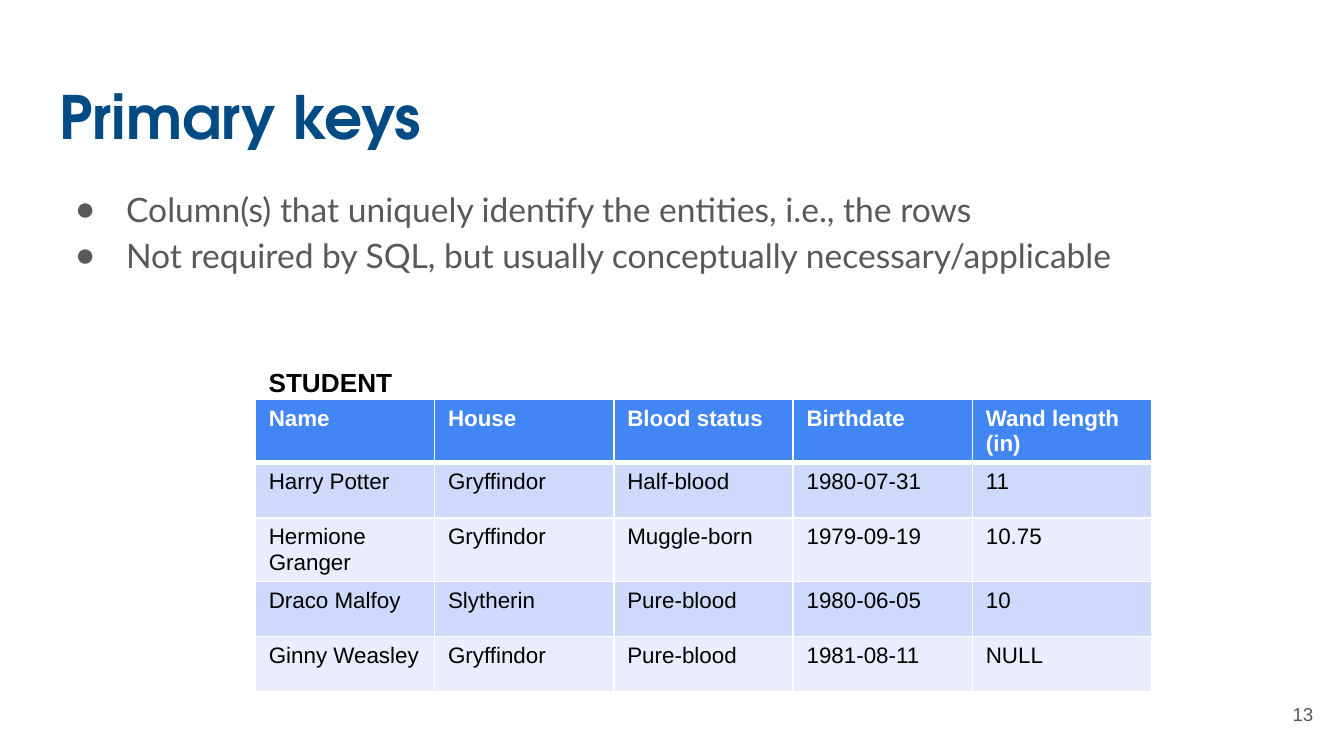
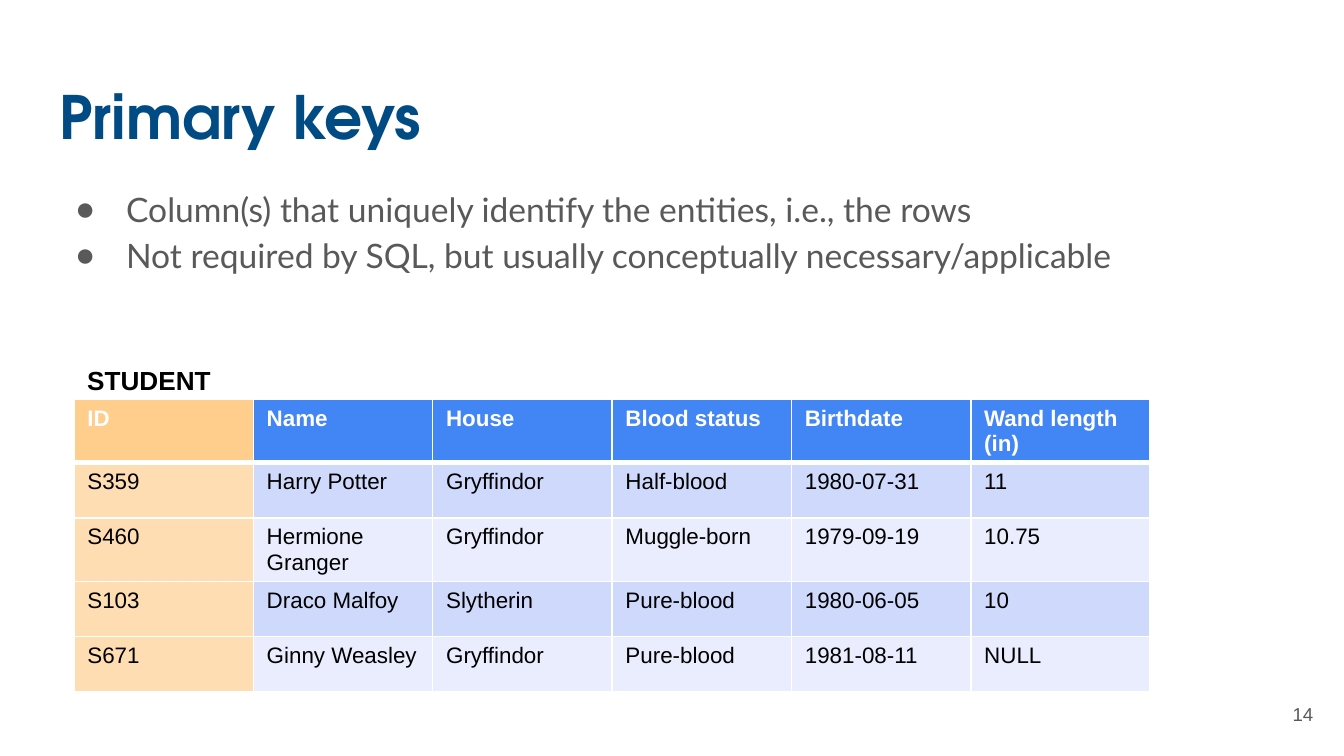
from lxml import etree
from pptx import Presentation
from pptx.dml.color import RGBColor
from pptx.enum.text import MSO_ANCHOR, MSO_AUTO_SIZE, PP_ALIGN
from pptx.oxml import parse_xml
from pptx.oxml.ns import qn
from pptx.util import Inches, Pt

TOP, MIDDLE = MSO_ANCHOR.TOP, MSO_ANCHOR.MIDDLE
LEFT, RIGHT = PP_ALIGN.LEFT, PP_ALIGN.RIGHT
NO_FIT = MSO_AUTO_SIZE.NONE
TITLE_ONLY = 5

NAVY, GREY, BLACK, WHITE = "004B83", "595959", "000000", "FFFFFF"
HEADER_BLUE, BAND_DARK, BAND_LIGHT = "4285F4", "CFD9FB", "E9EDFD"
KEY_HEADER, KEY_BODY = "FFCD8C", "FFDDB3"
ROW_HEIGHT, TABLE_TOP = 0.41, 2.97
DRAWING = "http://schemas.openxmlformats.org/drawingml/2006/main"

BULLETS = [
    "Column(s) that uniquely identify the entities, i.e., the rows",
    "Not required by SQL, but usually conceptually necessary/applicable",
]
STUDENTS = [
    ["Name", "House", "Blood status", "Birthdate", "Wand length (in)"],
    ["Harry Potter", "Gryffindor", "Half-blood", "1980-07-31", "11"],
    ["Hermione Granger", "Gryffindor", "Muggle-born", "1979-09-19", "10.75"],
    ["Draco Malfoy", "Slytherin", "Pure-blood", "1980-06-05", "10"],
    ["Ginny Weasley", "Gryffindor", "Pure-blood", "1981-08-11", "NULL"],
]
IDS = ["ID", "S359", "S460", "S103", "S671"]
SLIDES = [
    {"number": "13", "left": 1.9, "width": 6.67, "label_top": 2.68, "keyed": False,
     "rows": STUDENTS},
    {"number": "14", "left": 0.55, "width": 8.01, "label_top": 2.66, "keyed": True,
     "rows": [[key] + row for key, row in zip(IDS, STUDENTS)]},
]


def color(value):
    return RGBColor.from_string(value)


def write(frame, *lines, size, ink, font="Arial", bold=False, align=LEFT,
          anchor=TOP, inset=None, bullet=None):
    frame.word_wrap = True
    frame.vertical_anchor = anchor
    frame.auto_size = NO_FIT
    if inset is not None:
        frame.margin_left = frame.margin_right = Inches(inset)
        frame.margin_top = frame.margin_bottom = Inches(inset)
    for index, line in enumerate(lines):
        para = frame.add_paragraph() if index else frame.paragraphs[0]
        para.alignment = align
        span = para.add_run()
        span.text = line
        span.font.size = Pt(size)
        span.font.name = font
        span.font.bold = bold
        span.font.color.rgb = color(ink)
        if bullet:
            para.line_spacing = 1.15
            properties = para._p.get_or_add_pPr()
            properties.set("marL", str(Inches(0.5)))
            properties.set("indent", str(Inches(-0.38)))
            tint = etree.SubElement(properties, qn("a:buClr"))
            etree.SubElement(tint, qn("a:srgbClr"), val=ink)
            etree.SubElement(properties, qn("a:buFont"), typeface="Arial")
            etree.SubElement(properties, qn("a:buChar"), char=bullet)


deck = Presentation()
deck.slide_width = Inches(10)
deck.slide_height = deck.slide_width * 9 // 16

for content in SLIDES:
    page = deck.slides.add_slide(deck.slide_layouts[TITLE_ONLY])

    title = page.shapes.title
    title.left, title.top = Inches(0.34), Inches(0.49)
    title.width, title.height = Inches(9.32), Inches(0.63)
    write(title.text_frame, "Primary keys", size=32, ink=NAVY,
          font="TeX Gyre Adventor", bold=True, inset=0.1)

    body = page.shapes.add_textbox(Inches(0.34), Inches(1.26), Inches(9.32), Inches(3.74))
    write(body.text_frame, *BULLETS, size=18, ink=GREY, font="Lato", inset=0.1, bullet="●")

    number = page.shapes.add_textbox(Inches(9.27), Inches(5.1), Inches(0.6), Inches(0.43))
    write(number.text_frame, content["number"], size=10, ink=GREY,
          align=RIGHT, anchor=MIDDLE, inset=0.1)

    rows, left = content["rows"], Inches(content["left"])
    table = page.shapes.add_table(
        len(rows), len(rows[0]), left, Inches(TABLE_TOP),
        Inches(content["width"]), Inches(ROW_HEIGHT * len(rows))).table
    for row_index, row in enumerate(rows):
        table.rows[row_index].height = Inches(ROW_HEIGHT)
        header = row_index == 0
        for column_index, value in enumerate(row):
            cell = table.cell(row_index, column_index)
            if content["keyed"] and column_index == 0:
                fill = KEY_HEADER if header else KEY_BODY
            elif header:
                fill = HEADER_BLUE
            else:
                fill = BAND_DARK if row_index % 2 else BAND_LIGHT
            widths = {"L": 1, "R": 1, "T": 3 if row_index == 1 else 1, "B": 3 if header else 1}
            for side, width in widths.items():
                cell._tc.get_or_add_tcPr().append(parse_xml(
                    f'<a:ln{side} xmlns:a="{DRAWING}" w="{Pt(width)}"><a:solidFill>'
                    f'<a:srgbClr val="{WHITE}"/></a:solidFill></a:ln{side}>'))
            cell.fill.solid()
            cell.fill.fore_color.rgb = color(fill)
            write(cell.text_frame, value, size=12, ink=WHITE if header else BLACK, bold=header)

    label = page.shapes.add_textbox(left, Inches(content["label_top"]), Inches(1.21), Inches(0.34))
    write(label.text_frame, "STUDENT", size=14, ink=BLACK, bold=True)

deck.save("out.pptx")
